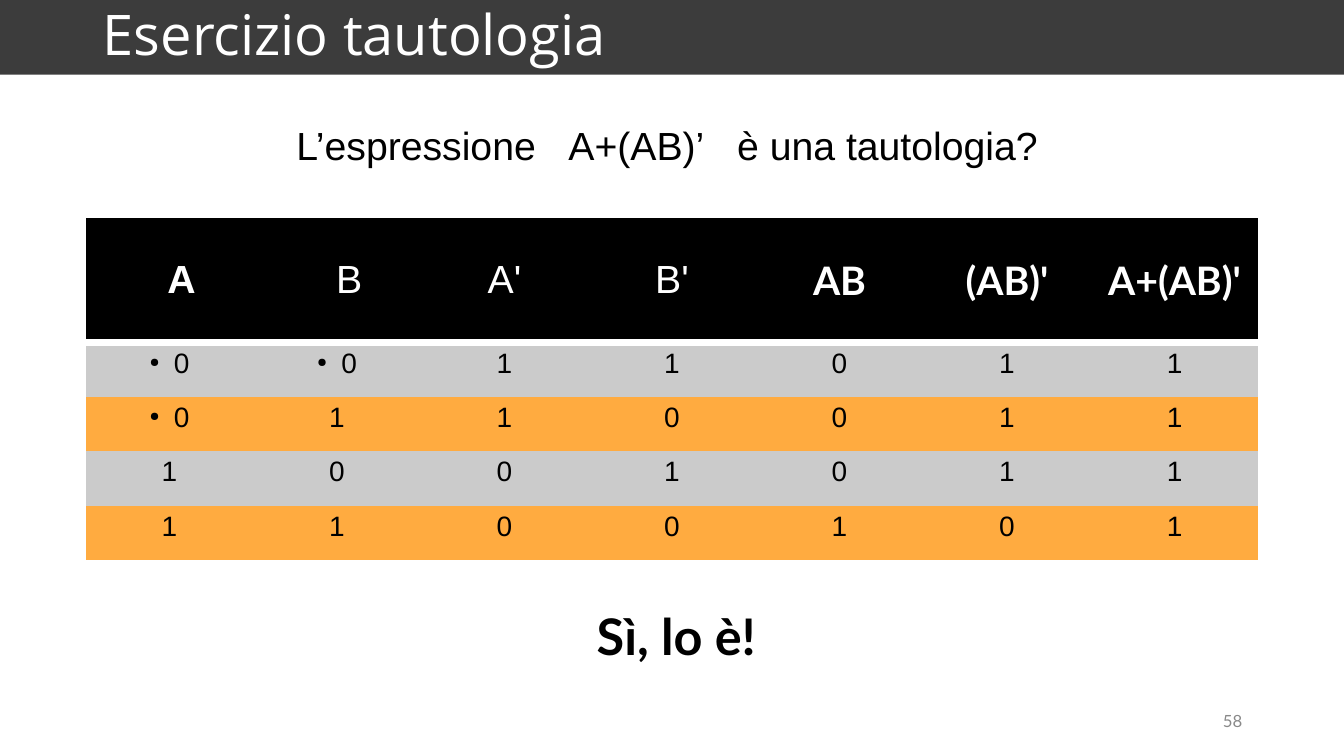
from lxml import etree
from pptx import Presentation
from pptx.dml.color import RGBColor
from pptx.enum.shapes import MSO_SHAPE
from pptx.enum.text import MSO_ANCHOR, MSO_AUTO_SIZE, PP_ALIGN
from pptx.oxml import parse_xml
from pptx.oxml.ns import qn
from pptx.util import Inches, Pt

LEFT, CENTER, RIGHT = PP_ALIGN.LEFT, PP_ALIGN.CENTER, PP_ALIGN.RIGHT
TOP, MIDDLE = MSO_ANCHOR.TOP, MSO_ANCHOR.MIDDLE
RECTANGLE = MSO_SHAPE.RECTANGLE
NO_AUTOFIT = MSO_AUTO_SIZE.NONE
NAMESPACE = "http://schemas.openxmlformats.org/drawingml/2006/main"
NO_STYLE = "{2D5ABB26-0587-4C30-8999-92F81FD0307C}"
BLACK, WHITE, CHARCOAL, GRAY = "000000", "FFFFFF", "3C3C3C", "898989"
BANDS = ["CBCBCB", "FFAB40"]
HEADINGS = ["A", "B", "A'", "B'", "AB", "(AB)'", "A+(AB)'"]
TRUTH_ROWS = ["0011011", "0110011", "1001011", "1100101"]
BULLETED = {(1, 0), (1, 1), (2, 0)}
INDENT = Inches(0.24)


def color(value):
    """Turn a hex string into a colour."""
    return RGBColor.from_string(value)


def add_run(para, text, size, font, ink, bold=False):
    """Add one formatted run to a paragraph and return it."""
    span = para.add_run()
    span.text = text
    span.font.size = Pt(size)
    span.font.name = font
    span.font.bold = bold
    span.font.color.rgb = color(ink)
    return span


def place(shape, box):
    """Move a shape to a box of left, top, width and height in inches."""
    shape.left, shape.top, shape.width, shape.height = map(Inches, box)


def prepare_frame(shape, anchor):
    """Set wrapping and anchoring, and return the first paragraph."""
    frame = shape.text_frame
    frame.word_wrap = True
    frame.auto_size = NO_AUTOFIT
    frame.vertical_anchor = anchor
    return frame.paragraphs[0]


def add_title(page, box, text):
    """Draw the full-width bar and set the title on it."""
    left, top, width, height = box
    bar = page.shapes.add_shape(RECTANGLE, 0, Inches(top), Inches(left + width), Inches(height))
    bar.shadow.inherit = False
    bar.fill.solid()
    bar.fill.fore_color.rgb = color(CHARCOAL)
    bar.line.fill.background()
    page.shapes._spTree.insert(2, bar._element)
    place(page.shapes.title, box)
    para = prepare_frame(page.shapes.title, MIDDLE)
    para.alignment = LEFT
    para.line_spacing = 0.9
    add_run(para, text, 40, "Open Sans", WHITE)


def add_question(page, box, parts):
    """Set the question in the body placeholder with wide gaps between its parts."""
    body = page.placeholders[1]
    place(body, box)
    para = prepare_frame(body, TOP)
    properties = para._p.get_or_add_pPr()
    properties.set("marL", "0")
    properties.set("indent", "0")
    etree.SubElement(properties, qn("a:buNone"))
    para.alignment = CENTER
    para.line_spacing = 0.9
    para.space_before = Pt(0)
    for index, part in enumerate(parts):
        if index:
            gap = add_run(para, " ", 28, "Arial", BLACK)
            gap._r.get_or_add_rPr().set("spc", "1560")
        add_run(para, part, 28, "Arial", BLACK)


def add_bullet(para):
    """Give a paragraph a small round bullet with a hanging indent."""
    properties = para._p.get_or_add_pPr()
    properties.set("marL", str(INDENT))
    properties.set("indent", str(-INDENT))
    ink = etree.SubElement(properties, qn("a:buClr"))
    etree.SubElement(ink, qn("a:srgbClr"), val=BLACK)
    etree.SubElement(properties, qn("a:buSzPct"), val="45000")
    etree.SubElement(properties, qn("a:buChar"), char="●")


def fill_cell(cell, fill, anchor):
    """Fill and anchor a cell, and return its centred paragraph."""
    cell.fill.solid()
    cell.fill.fore_color.rgb = color(fill)
    cell.vertical_anchor = anchor
    para = cell.text_frame.paragraphs[0]
    para.alignment = CENTER
    return para


def add_bottom_border(cell):
    """Draw a thick white line under a cell."""
    border = parse_xml(
        f'<a:lnB xmlns:a="{NAMESPACE}" w="{Pt(6)}"><a:solidFill>'
        f'<a:srgbClr val="{WHITE}"/></a:solidFill></a:lnB>'
    )
    cell._tc.get_or_add_tcPr().insert(0, border)


def add_truth_table(page, box, header_height):
    """Build the truth table with a black header and banded rows."""
    left, top, width, height = map(Inches, box)
    row_count, column_count = len(TRUTH_ROWS) + 1, len(HEADINGS)
    table = page.shapes.add_table(row_count, column_count, left, top, width, height).table
    table.first_row = table.horz_banding = False
    table._tbl.tblPr.find(qn("a:tableStyleId")).text = NO_STYLE
    for column in table.columns:
        column.width = width // column_count
    for row in table.rows:
        row.height = (height - Inches(header_height)) // len(TRUTH_ROWS)
    table.rows[0].height = Inches(header_height)

    for column, heading in enumerate(HEADINGS):
        cell = table.cell(0, column)
        para = fill_cell(cell, BLACK, MIDDLE)
        add_bottom_border(cell)
        if column < 2:
            para._p.get_or_add_pPr().set("marL", str(INDENT))
        font = "Lato" if column > 3 else "Arial"
        add_run(para, heading, 28, font, WHITE, bold=column not in (1, 2, 3))

    for row, values in enumerate(TRUTH_ROWS, start=1):
        for column, value in enumerate(values):
            para = fill_cell(table.cell(row, column), BANDS[(row - 1) % 2], TOP)
            if (row, column) in BULLETED:
                add_bullet(para)
            add_run(para, value, 20, "Arial", BLACK)


def add_label(page, box, text, size, ink, align=LEFT, anchor=TOP, bold=False):
    """Add a one-line text box in Lato."""
    label = page.shapes.add_textbox(*map(Inches, box))
    para = prepare_frame(label, anchor)
    para.alignment = align
    add_run(para, text, size, "Lato", ink, bold)


def main():
    """Build the slide and save the deck."""
    deck = Presentation()
    deck.slide_width, deck.slide_height = Inches(13.33), Inches(7.5)
    page = deck.slides.add_slide(deck.slide_layouts[1])
    add_title(page, (0.92, 0, 12.41, 0.74), "Esercizio tautologia")
    add_question(page, (0.92, 1.21, 11.39, 5.55), ["L’espressione", "A+(AB)’", "è una tautologia?"])
    add_label(page, (9.42, 6.95, 3, 0.4), "58", 12, GRAY, RIGHT, MIDDLE)
    add_truth_table(page, (0.85, 2.16, 11.63, 3.4), 1.24)
    add_label(page, (5.82, 5.95, 5.69, 0.71), "Sì, lo è!", 36, BLACK, bold=True)
    deck.save("out.pptx")


if __name__ == "__main__":
    main()
